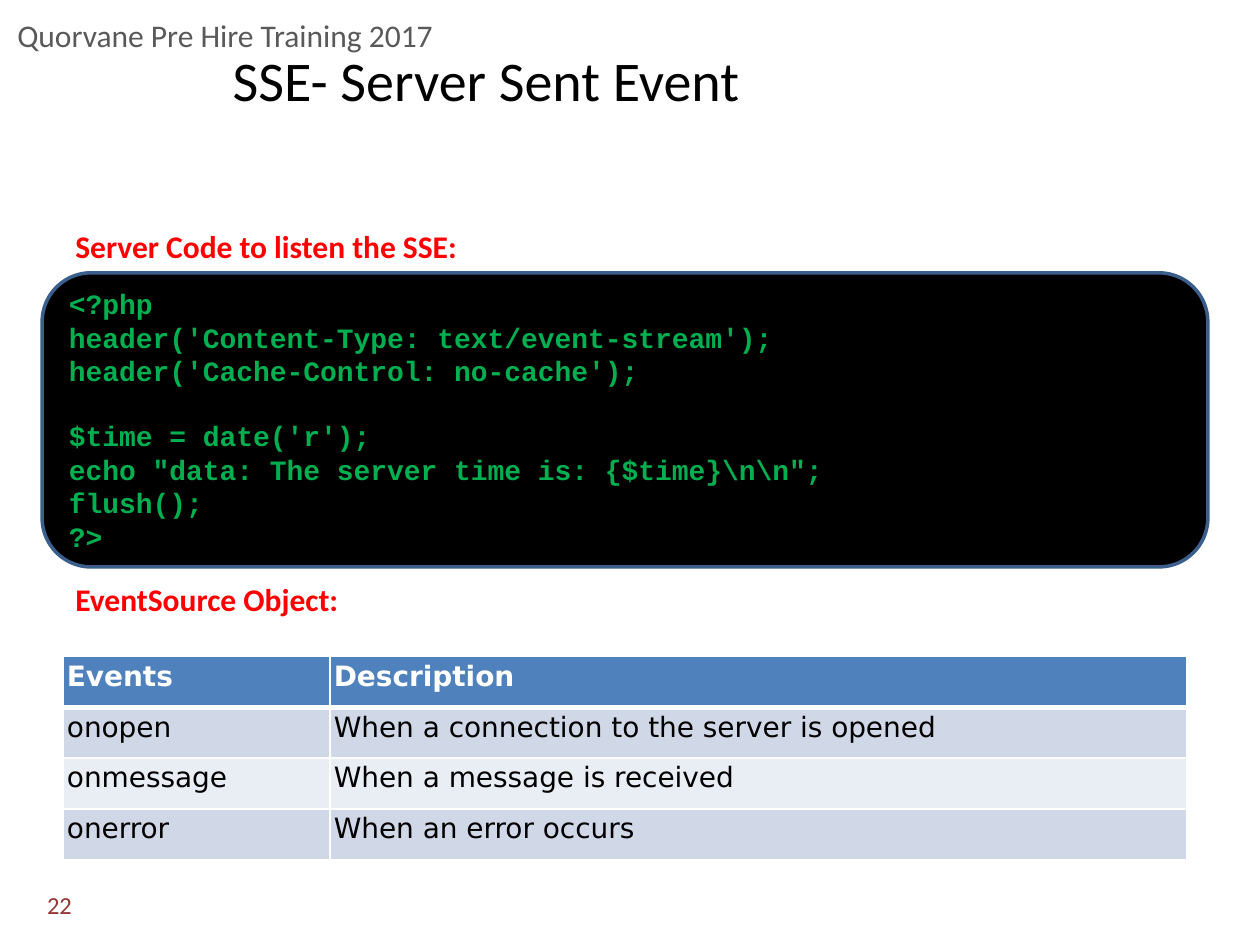
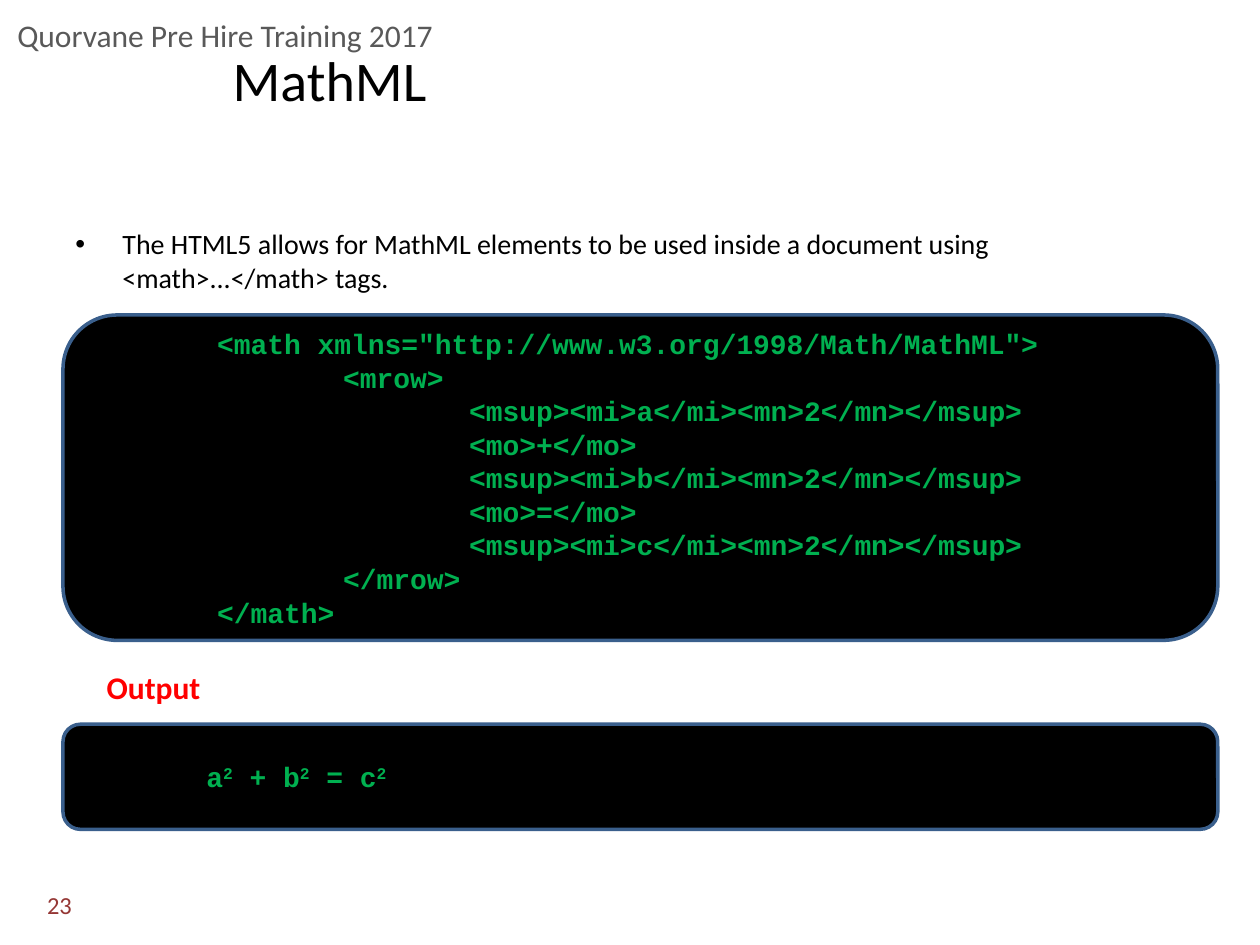
import pptx
import pptx.dml.color
import pptx.enum.shapes
import pptx.enum.text
import pptx.oxml.ns
import pptx.util
from lxml import etree
from pptx.util import Cm, Pt

COLORS = {
    "header": "595959", "title": "000000", "body": "000000",
    "heading": "FF0000", "number": "953735",
    "code": "00B050", "code_fill": "000000", "code_line": "3A5F8C",
    "table_head": "4F81BD", "table_head_text": "FFFFFF",
    "band_odd": "D0D8E8", "band_even": "E9EDF4", "border": "FFFFFF",
}
SANS, MONO, TABLE_FONT = "Calibri", "Courier New", "DejaVu Sans"
LEFT, MIDDLE = pptx.enum.text.PP_ALIGN.LEFT, pptx.enum.text.MSO_ANCHOR.MIDDLE
TAB = 2.54

HEADER_BOX = (0.1, 0.2, 8.9, 1.02)
TITLE_BOX = (4.44, 0, 20.96, 3.18)
NUMBER_BOX = (0.43, 17.86, 1.27, 0.76)


def rgb(name):
    """Return the named colour."""
    return pptx.dml.color.RGBColor.from_string(COLORS[name])


def add_xml(parent, tag, **attributes):
    """Append a drawing element to its parent and return it."""
    return etree.SubElement(parent, pptx.oxml.ns.qn(tag), attributes)


def style(paragraph, size, color, font=SANS, bold=False, align=LEFT):
    """Format every run of a paragraph."""
    paragraph.alignment = align
    for run in paragraph.runs:
        run.font.size, run.font.name, run.font.bold = Pt(size), font, bold
        run.font.color.rgb = rgb(color)


def indent(paragraph, margin, hanging=0):
    """Set the left margin and hanging indent of a paragraph."""
    properties = paragraph._p.get_or_add_pPr()
    properties.set("marL", str(Cm(margin)))
    properties.set("indent", str(-Cm(hanging)))
    return properties


def add_label(slide, box, text, size, color, anchor=None, **look):
    """Place one paragraph of text in a box and return the paragraph."""
    frame = slide.shapes.add_textbox(*map(Cm, box)).text_frame
    frame.word_wrap = True
    frame.vertical_anchor = anchor
    frame.text = text
    style(frame.paragraphs[0], size, color, **look)
    return frame.paragraphs[0]


def add_heading(slide, box, text):
    """Place a red section heading."""
    add_label(slide, box, text, 18, "heading", bold=True)


def add_bullet(slide, box, text):
    """Place a bulleted paragraph with a hanging indent."""
    bullet = add_label(slide, box, text, 16, "body")
    bullet.space_before = Pt(3.2)
    properties = indent(bullet, 0.95, 0.95)
    add_xml(properties, "a:buFont", typeface="Arial")
    add_xml(properties, "a:buChar", char="•")


def add_code_panel(slide, box):
    """Draw a black rounded panel and return its text frame."""
    panel = slide.shapes.add_shape(
        pptx.enum.shapes.MSO_SHAPE.ROUNDED_RECTANGLE, *map(Cm, box))
    panel.shadow.inherit = False
    panel.fill.solid()
    panel.fill.fore_color.rgb = rgb("code_fill")
    panel.line.color.rgb = rgb("code_line")
    panel.line.width = Pt(2)
    panel.text_frame.vertical_anchor = MIDDLE
    return panel.text_frame


def style_code(paragraph):
    """Format a paragraph as code."""
    style(paragraph, 16, "code", MONO, bold=True)


def add_code_blocks(slide, box, blocks):
    """Place blocks of code lines one line apart in a panel."""
    frame = add_code_panel(slide, box)
    frame.text = "\n".join("\v".join(block) for block in blocks)
    for number, paragraph in enumerate(frame.paragraphs):
        style_code(paragraph)
        paragraph.space_before = Pt(18 if number else 0)


def add_nested_code(slide, box, lines):
    """Place (depth, code) lines in a panel, one tab per depth."""
    frame = add_code_panel(slide, box)
    frame.text = "\n".join(code for _, code in lines)
    for paragraph, (depth, _) in zip(frame.paragraphs, lines):
        style_code(paragraph)
        indent(paragraph, (depth + 1) * TAB)


def add_formula(slide, box, terms):
    """Place (base, exponent) terms on one line in a panel."""
    formula = add_code_panel(slide, box).paragraphs[0]
    for base, exponent in terms:
        formula.add_run().text = base
        power = formula.add_run()
        power.text = exponent
        power._r.get_or_add_rPr().set("baseline", "30000")
    style_code(formula)
    indent(formula, TAB)


def add_borders(cell, top, bottom):
    """Draw white cell borders with the given top and bottom widths."""
    properties = cell._tc.get_or_add_tcPr()
    for side, width in (("L", 1), ("R", 1), ("T", top), ("B", bottom)):
        line = add_xml(properties, f"a:ln{side}", w=str(Pt(width)))
        add_xml(add_xml(line, "a:solidFill"), "a:srgbClr", val=COLORS["border"])


def add_banded_table(slide, box, widths, rows):
    """Place a table with a header row and banded body rows."""
    table = slide.shapes.add_table(len(rows), len(widths), *map(Cm, box)).table
    for column, width in zip(table.columns, widths):
        column.width = Cm(width)
    for r, texts in enumerate(rows):
        fill = "table_head" if r == 0 else "band_odd" if r % 2 else "band_even"
        color = "body" if r else "table_head_text"
        for c, text in enumerate(texts):
            cell = table.cell(r, c)
            cell.margin_left = cell.margin_right = Cm(0.08)
            cell.margin_top = cell.margin_bottom = Cm(0.08)
            add_borders(cell, 3 if r == 1 else 1, 1 if r else 3)
            cell.fill.solid()
            cell.fill.fore_color.rgb = rgb(fill)
            cell.text = text
            style(cell.text_frame.paragraphs[0], 16, color, TABLE_FONT, r == 0)


def add_base_slide(deck, title, number):
    """Add a slide with the course header, title and slide number."""
    slide = deck.slides.add_slide(deck.slide_layouts[6])
    add_label(slide, HEADER_BOX, "Quorvane Pre Hire Training 2017", 18, "header")
    add_label(slide, TITLE_BOX, title, 32, "title", MIDDLE)
    add_label(slide, NUMBER_BOX, str(number), 14, "number", MIDDLE,
              align=pptx.enum.text.PP_ALIGN.RIGHT)
    return slide


def build_sse_slide(deck):
    """Build the slide on server sent events."""
    slide = add_base_slide(deck, "SSE- Server Sent Event", 22)
    add_heading(slide, (1.27, 4.45, 22.86, 1.02), "Server Code to listen the SSE:")
    add_code_blocks(slide, (0.85, 5.5, 23.5, 5.93), [
        ["<?php",
         "header('Content-Type: text/event-stream');",
         "header('Cache-Control: no-cache');"],
        ["$time = date('r');",
         'echo "data: The server time is: {$time}\\n\\n";',
         "flush();",
         "?>"],
    ])
    add_heading(slide, (1.27, 11.56, 22.86, 1.02), "EventSource Object:")
    add_banded_table(slide, (1.27, 13.23, 22.66, 4.11), (5.38, 17.28), [
        ("Events", "Description"),
        ("onopen", "When a connection to the server is opened"),
        ("onmessage", "When a message is received"),
        ("onerror", "When an error occurs"),
    ])


def build_mathml_slide(deck):
    """Build the slide on MathML."""
    slide = add_base_slide(deck, "MathML", 23)
    add_bullet(slide, (1.27, 4.45, 22.86, 1.9),
               "The HTML5 allows for MathML elements to be used inside a "
               "document using <math>...</math> tags.")
    add_nested_code(slide, (1.27, 6.35, 23.28, 6.56), [
        (0, '<math xmlns="http://www.w3.org/1998/Math/MathML">'),
        (1, "<mrow>"),
        (2, "<msup><mi>a</mi><mn>2</mn></msup>"),
        (2, "<mo>+</mo>"),
        (2, "<msup><mi>b</mi><mn>2</mn></msup>"),
        (2, "<mo>=</mo>"),
        (2, "<msup><mi>c</mi><mn>2</mn></msup>"),
        (1, "</mrow>"),
        (0, "</math>"),
    ])
    add_formula(slide, (1.27, 14.6, 23.28, 2.12),
                [("a", "2"), (" + b", "2"), (" = c", "2")])
    add_heading(slide, (1.9, 13.34, 2.8, 1.02), "Output")


def main():
    """Build and save the deck."""
    deck = pptx.Presentation()
    deck.slide_width, deck.slide_height = Cm(25.4), Cm(19.05)
    build_sse_slide(deck)
    build_mathml_slide(deck)
    deck.save("out.pptx")


if __name__ == "__main__":
    main()
